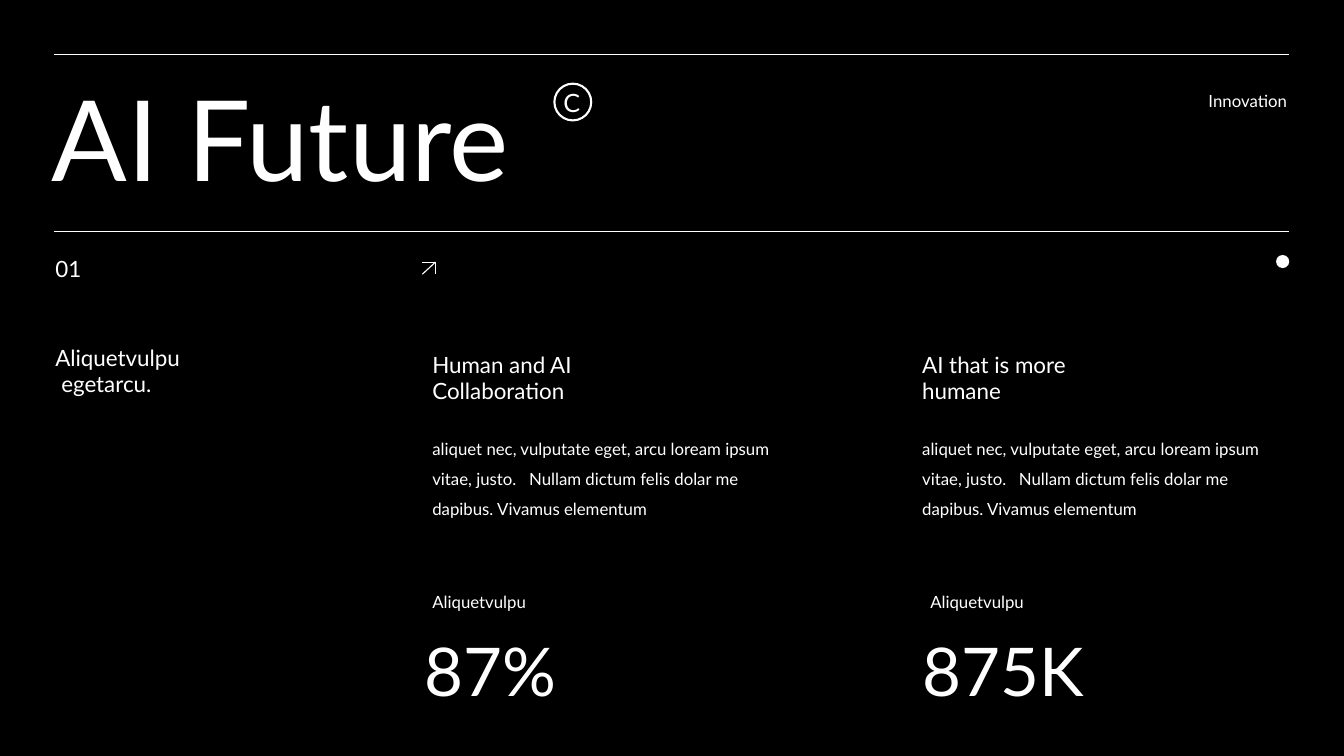
from dataclasses import dataclass
from typing import Any

from lxml import etree
from pptx import Presentation, util as u
from pptx.dml import color
from pptx.enum import shapes, text
from pptx.oxml import ns

COLORS = {"paper": "000000", "ink": "FFFFFF"}
FONT = "Lato"
WIDTH, HEIGHT = u.Inches(13.33), u.Inches(7.5)
LEFT, RIGHT = 4.05, 95.93
RULE_ROWS = (7.2, 30.67)
BODY = (
    "aliquet nec, vulputate eget, arcu loream ipsum",
    "vitae, justo.\tNullam dictum felis dolar me",
    "dapibus. Vivamus elementum",
)
BODY_TAB = 0.96
LABEL_SHIFT = 0.6


@dataclass(frozen=True)
class Label:
    lines: tuple[str, ...]
    x: float
    y: float
    w: float
    h: float
    size: float
    spacing: float = 1.0
    second_indent: float = 0


@dataclass(frozen=True)
class Topic:
    heading: tuple[str, ...]
    x: float
    value: str
    value_x: float


TITLE = Label(("AI Future",), 3.08, 8.53, 50, 19.33, 80)
MARK = Label(("C",), 41.18, 10.93, 2.7, 5.33, 18)
LABELS = (
    Label(("Innovation",), 89.18, 10, 8.4, 4.93, 12, 1.5),
    Label(("01",), 3.38, 33.07, 5.03, 4.93, 16),
    Label(("Aliquetvulpu", "egetarcu."), 3.38, 44.8, 21.23, 8.53, 16, second_indent=0.06),
)
TOPICS = (
    Topic(("Human and AI", "Collaboration"), 31.43, "87%", 30.83),
    Topic(("AI that is more", "humane"), 67.88, "875K", 67.88),
)


def col(share: float) -> int:
    return round(WIDTH * share / 100)


def row(share: float) -> int:
    return round(HEIGHT * share / 100)


def rgb(name: str) -> color.RGBColor:
    return color.RGBColor.from_string(COLORS[name])


def apply(target: Any, values: dict[str, Any]) -> None:
    for name, value in values.items():
        setattr(target, name, value)


def write(sp: Any, label: Label) -> None:
    apply(sp, {"left": col(label.x), "top": row(label.y),
               "width": col(label.w), "height": row(label.h)})
    tf = sp.text_frame
    apply(tf, {"word_wrap": True, "vertical_anchor": text.MSO_ANCHOR.TOP,
               "auto_size": text.MSO_AUTO_SIZE.SHAPE_TO_FIT_TEXT})
    for i, line in enumerate(label.lines):
        p = tf.add_paragraph() if i else tf.paragraphs[0]
        pPr = p._p.get_or_add_pPr()
        if i and label.second_indent:
            pPr.set("marL", str(u.Inches(label.second_indent)))
        if "\t" in line:
            tabs = etree.SubElement(pPr, ns.qn("a:tabLst"))
            etree.SubElement(tabs, ns.qn("a:tab"), pos=str(u.Inches(BODY_TAB)), algn="l")
        apply(p, {"alignment": text.PP_ALIGN.LEFT, "line_spacing": label.spacing})
        r = p.add_run()
        r.text = line
        apply(r.font, {"name": FONT, "size": u.Pt(label.size)})
        r.font.color.rgb = rgb("ink")


def add_label(parent: Any, label: Label) -> None:
    write(parent.add_textbox(0, 0, 0, 0), label)


def stroke(sp: Any, width: float) -> None:
    sp.line.color.rgb = rgb("ink")
    sp.line.width = u.Pt(width)


def add_line(parent: Any, x1: float, y1: float, x2: float, y2: float, width: float) -> None:
    sp = parent.add_connector(shapes.MSO_CONNECTOR.STRAIGHT, col(x1), row(y1), col(x2), row(y2))
    stroke(sp, width)
    etree.SubElement(sp._element.spPr, ns.qn("a:effectLst"))


def add_circle(parent: Any, x: float, y: float, w: float, h: float) -> Any:
    sp = parent.add_shape(shapes.MSO_SHAPE.OVAL, col(x), row(y), col(w), row(h))
    sp.shadow.inherit = False
    return sp


def add_mark(s: Any) -> None:
    group = s.shapes.add_group_shape().shapes
    ring = add_circle(group, 41.25, 11.07, 2.74, 4.86)
    ring.fill.background()
    stroke(ring, 1.5)
    add_label(group, MARK)


def add_arrow(s: Any) -> None:
    left, right, top, bottom = 31.43, 32.4, 34.67, 36.27
    group = s.shapes.add_group_shape().shapes
    builder = group.build_freeform(col(right), row(bottom))
    builder.add_line_segments([(col(right), row(top)), (col(left), row(top))], close=False)
    head = builder.convert_to_shape()
    head.shadow.inherit = False
    head.fill.background()
    stroke(head, 0.79)
    add_line(group, left, bottom, right, top, 0.79)


def add_topic(s: Any, topic: Topic) -> None:
    for label in (
        Label(topic.heading, topic.x, 45.73, 21.23, 8.53, 16),
        Label(BODY, topic.x, 56, 31.88, 17.07, 12, 1.5),
        Label(("Aliquetvulpu",), topic.value_x + LABEL_SHIFT, 77.6, 21.23, 4, 12),
        Label((topic.value,), topic.value_x, 82.53, 19.2, 12.13, 48),
    ):
        add_label(s.shapes, label)


def main() -> None:
    prs = Presentation()
    apply(prs, {"slide_width": WIDTH, "slide_height": HEIGHT})
    s = prs.slides.add_slide(prs.slide_layouts[5])
    s.background.fill.solid()
    s.background.fill.fore_color.rgb = rgb("paper")
    write(s.shapes.title, TITLE)
    for y in RULE_ROWS:
        add_line(s.shapes, LEFT, y, RIGHT, y, 0.5)
    add_mark(s)
    dot = add_circle(s.shapes, 94.95, 33.73, 0.98, 1.73)
    dot.fill.solid()
    dot.fill.fore_color.rgb = rgb("ink")
    dot.line.fill.background()
    add_arrow(s)
    for label in LABELS:
        add_label(s.shapes, label)
    for topic in TOPICS:
        add_topic(s, topic)
    prs.save("out.pptx")


if __name__ == "__main__":
    main()
